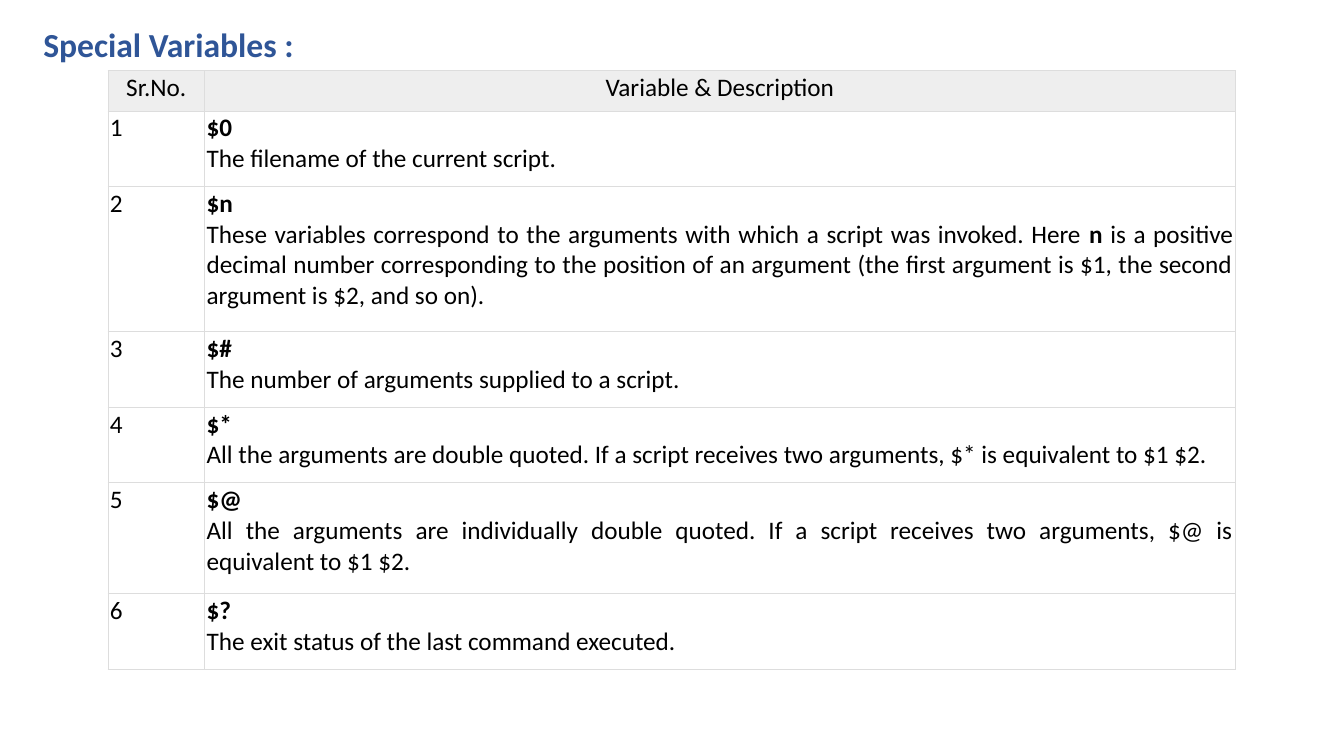
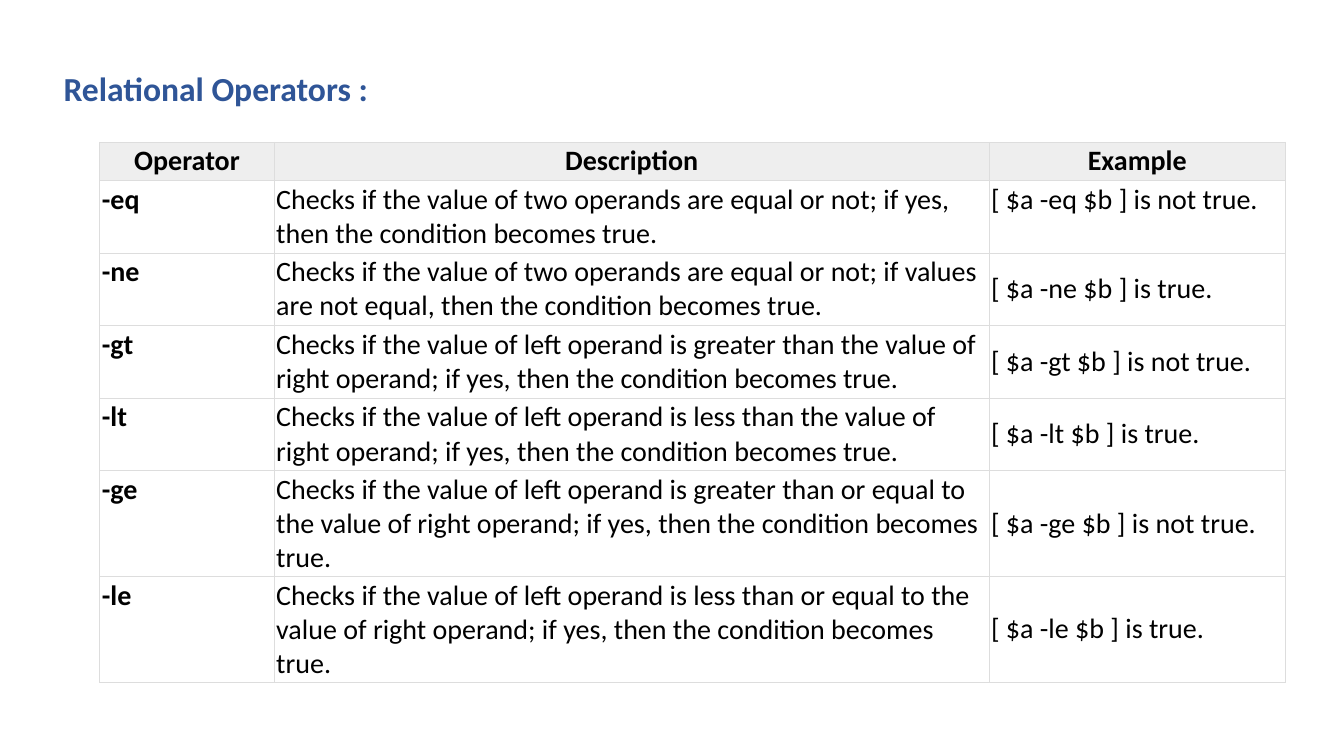
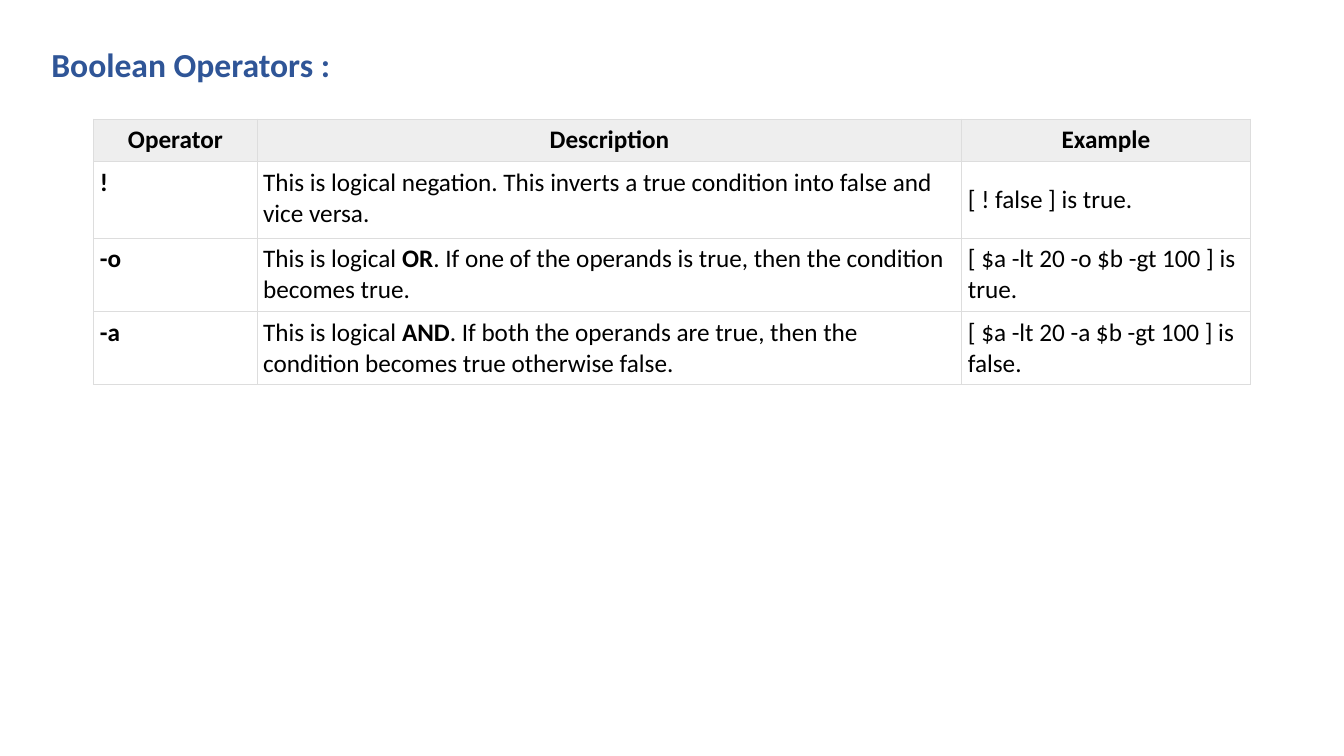
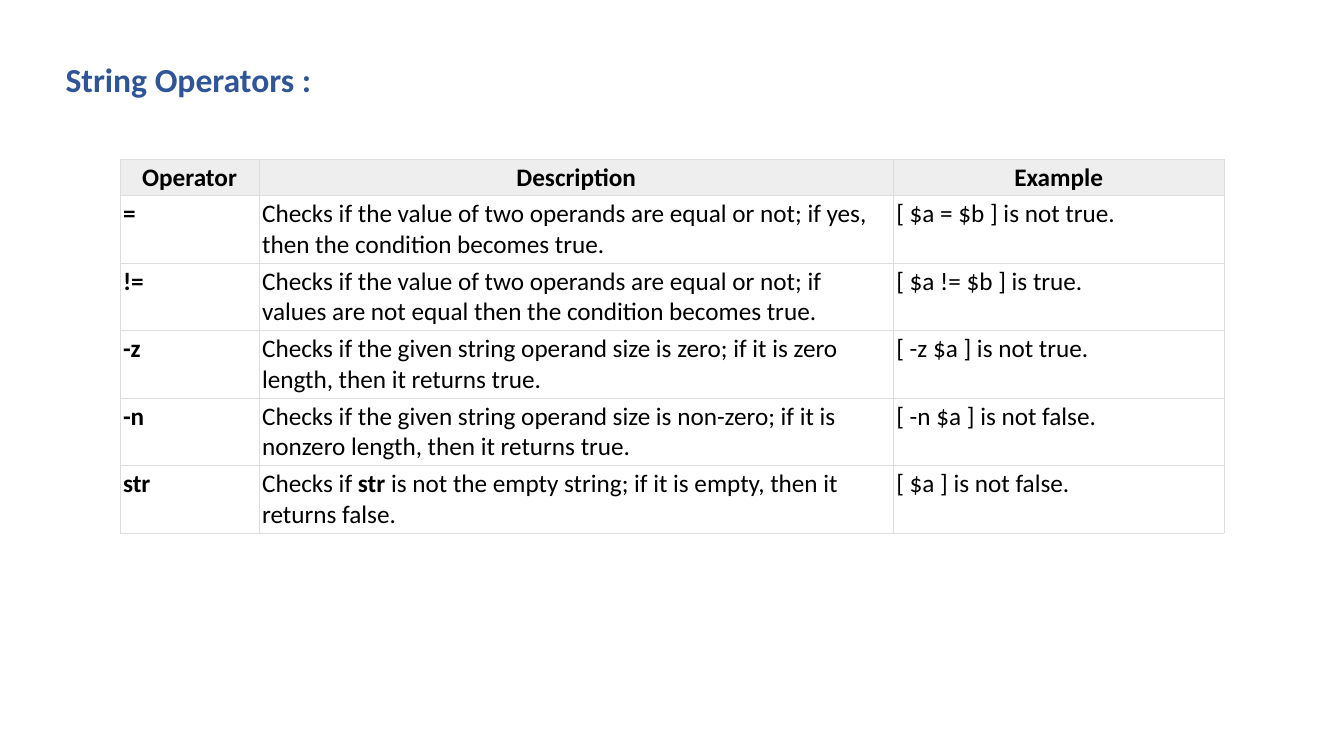
from dataclasses import dataclass

from lxml import etree
from pptx import Presentation
from pptx import util as u
from pptx.dml.color import RGBColor
from pptx.enum import text
from pptx.oxml import ns


@dataclass(frozen=True)
class Theme:
    font: str = "Calibri"
    heading: str = "2F5597"
    ink: str = "000000"
    header_fill: str = "EEEEEE"
    border: str = "DDDDDD"
    border_width: float = 0.6
    title_size: int = 24
    body_size: int = 18
    large_size: int = 20


class Deck:
    def __init__(self, theme):
        self.theme = theme
        self.presentation = Presentation()
        self.presentation.slide_width = u.Inches(13.33)
        self.presentation.slide_height = u.Inches(7.5)
        self.slide = None

    def start(self):
        layout = self.presentation.slide_layouts[5]
        self.slide = self.presentation.slides.add_slide(layout)

    def run(self, paragraph, words, size, color, bold):
        run = paragraph.add_run()
        run.text = words
        run.font.name = self.theme.font
        run.font.size = u.Pt(size)
        run.font.bold = bold
        run.font.color.rgb = RGBColor.from_string(color)

    def title(self, words, left, top, width=6.67):
        heading = self.slide.shapes.title
        heading.left, heading.top = u.Inches(left), u.Inches(top)
        heading.width, heading.height = u.Inches(width), u.Inches(0.5)
        frame = heading.text_frame
        frame.word_wrap = True
        frame.auto_size = text.MSO_AUTO_SIZE.SHAPE_TO_FIT_TEXT
        frame.vertical_anchor = text.MSO_ANCHOR.TOP
        frame.paragraphs[0].alignment = text.PP_ALIGN.LEFT
        self.run(frame.paragraphs[0], words, self.theme.title_size,
                 self.theme.heading, True)

    def borders(self, cell):
        properties = cell._tc.get_or_add_tcPr()
        for side in ("a:lnL", "a:lnR", "a:lnT", "a:lnB"):
            line = etree.SubElement(properties, ns.qn(side),
                                    w=str(u.Pt(self.theme.border_width)))
            solid = etree.SubElement(line, ns.qn("a:solidFill"))
            etree.SubElement(solid, ns.qn("a:srgbClr"), val=self.theme.border)

    def cell(self, cell, content, size, inset, alignment, header, middle):
        self.borders(cell)
        if header:
            cell.fill.solid()
            cell.fill.fore_color.rgb = RGBColor.from_string(self.theme.header_fill)
        else:
            cell.fill.background()
        cell.margin_left = cell.margin_right = u.Inches(inset)
        cell.margin_top = cell.margin_bottom = u.Inches(inset)
        cell.vertical_anchor = (text.MSO_ANCHOR.MIDDLE if middle
                                else text.MSO_ANCHOR.TOP)
        frame = cell.text_frame
        for index, line in enumerate(content.split("\n")):
            paragraph = frame.add_paragraph() if index else frame.paragraphs[0]
            paragraph.alignment = alignment
            for part, words in enumerate(line.split("|")):
                if words:
                    self.run(paragraph, words, size, self.theme.ink, part % 2 == 1)

    def table(self, rows, left, top, widths, heights, inset, size=None,
              middle_rows=(), justified_column=None):
        size = size or self.theme.body_size
        grid = self.slide.shapes.add_table(
            len(rows), len(widths), u.Inches(left), u.Inches(top),
            u.Inches(sum(widths)), u.Inches(sum(heights))).table
        grid.first_row = grid.horz_banding = False
        for column, width in zip(grid.columns, widths):
            column.width = u.Inches(width)
        for row, height in zip(grid.rows, heights):
            row.height = u.Inches(height)
        for r, row in enumerate(rows):
            for c, content in enumerate(row):
                if r == 0:
                    alignment = text.PP_ALIGN.CENTER
                elif c == justified_column:
                    alignment = text.PP_ALIGN.JUSTIFY
                else:
                    alignment = text.PP_ALIGN.LEFT
                middle = r in middle_rows and c == len(row) - 1
                self.cell(grid.cell(r, c), content, size, inset, alignment,
                          r == 0, middle)

    def save(self):
        self.presentation.save("out.pptx")


OPERATOR_HEADER = ("|Operator|", "|Description|", "|Example|")

VARIABLES = (
    ("$0", "The filename of the current script."),
    ("$n", "These variables correspond to the arguments with which a script was "
           "invoked. Here |n| is a positive decimal number corresponding to the "
           "position of an argument (the first argument is $1, the second argument "
           "is $2, and so on)."),
    ("$#", "The number of arguments supplied to a script."),
    ("$*", "All the arguments are double quoted. If a script receives two "
           "arguments, $* is equivalent to $1 $2."),
    ("$@", "All the arguments are individually double quoted. If a script receives "
           "two arguments, $@ is equivalent to $1 $2."),
    ("$?", "The exit status of the last command executed."),
)

COMPARISONS = (
    ("-eq", "two operands are equal or not; if yes,", "not true"),
    ("-ne", "two operands are equal or not; if values are not equal,", "true"),
    ("-gt", "left operand is greater than the value of right operand; if yes,",
     "not true"),
    ("-lt", "left operand is less than the value of right operand; if yes,", "true"),
    ("-ge", "left operand is greater than or equal to the value of right operand; "
            "if yes,", "not true"),
    ("-le", "left operand is less than or equal to the value of right operand; "
            "if yes,", "true"),
)

BOOLEANS = (
    ("|!|", "This is logical negation. This inverts a true condition into false and "
            "vice versa.", "[ ! false ] is true."),
    ("|-o|", "This is logical |OR|. If one of the operands is true, then the "
             "condition becomes true.", "[ $a -lt 20 -o $b -gt 100 ] is true."),
    ("|-a|", "This is logical |AND|. If both the operands are true, then the "
             "condition becomes true otherwise false.",
     "[ $a -lt 20 -a $b -gt 100 ] is false."),
)

STRINGS = (
    ("|=|", "Checks if the value of two operands are equal or not; if yes, then the "
            "condition becomes true.", "[ $a = $b ] is not true."),
    ("|!=|", "Checks if the value of two operands are equal or not; if values are "
             "not equal then the condition becomes true.", "[ $a != $b ] is true."),
    ("|-z|", "Checks if the given string operand size is zero; if it is zero "
             "length, then it returns true.", "[ -z $a ] is not true."),
    ("|-n|", "Checks if the given string operand size is non-zero; if it is nonzero "
             "length, then it returns true.", "[ -n $a ] is not false."),
    ("|str|", "Checks if |str| is not the empty string; if it is empty, then it "
              "returns false.", "[ $a ] is not false."),
)


def special_variables(deck):
    deck.start()
    deck.title("Special Variables :", 0.33, 0.19, 4.21)
    rows = [("Sr.No.", "Variable & Description")]
    rows += [(str(number), f"|{name}|\n{description}")
             for number, (name, description) in enumerate(VARIABLES, 1)]
    deck.table(rows, 1.07, 0.7, (0.96, 10.22),
               (0.4, 0.75, 1.44, 0.75, 0.75, 1.1, 0.75), 0.02, justified_column=1)


def relational_operators(deck):
    deck.start()
    deck.title("Relational Operators :", 0.53, 0.62)
    rows = [OPERATOR_HEADER]
    rows += [(f"|{operator}|",
              f"Checks if the value of {check} then the condition becomes true.",
              f"[ $a {operator} $b ] is {result}.")
             for operator, check, result in COMPARISONS]
    deck.table(rows, 0.99, 1.41, (1.73, 7.09, 2.94),
               (0.38,) + (0.72,) * 4 + (1.05,) * 2, 0.02,
               size=deck.theme.large_size, middle_rows=range(2, 7))


def boolean_operators(deck):
    deck.start()
    deck.title("Boolean Operators :", 0.41, 0.39)
    deck.table((OPERATOR_HEADER,) + BOOLEANS, 0.93, 1.18, (1.62, 6.99, 2.86),
               (0.42, 0.76, 0.73, 0.71), 0.06, middle_rows=(1, 3))


def string_operators(deck):
    deck.start()
    deck.title("String Operators :", 0.55, 0.53)
    deck.table((OPERATOR_HEADER,) + STRINGS, 1.19, 1.58, (1.38, 6.29, 3.28),
               (0.36,) + (0.67,) * 5, 0.03)


def main():
    deck = Deck(Theme())
    special_variables(deck)
    relational_operators(deck)
    boolean_operators(deck)
    string_operators(deck)
    deck.save()


if __name__ == "__main__":
    main()
